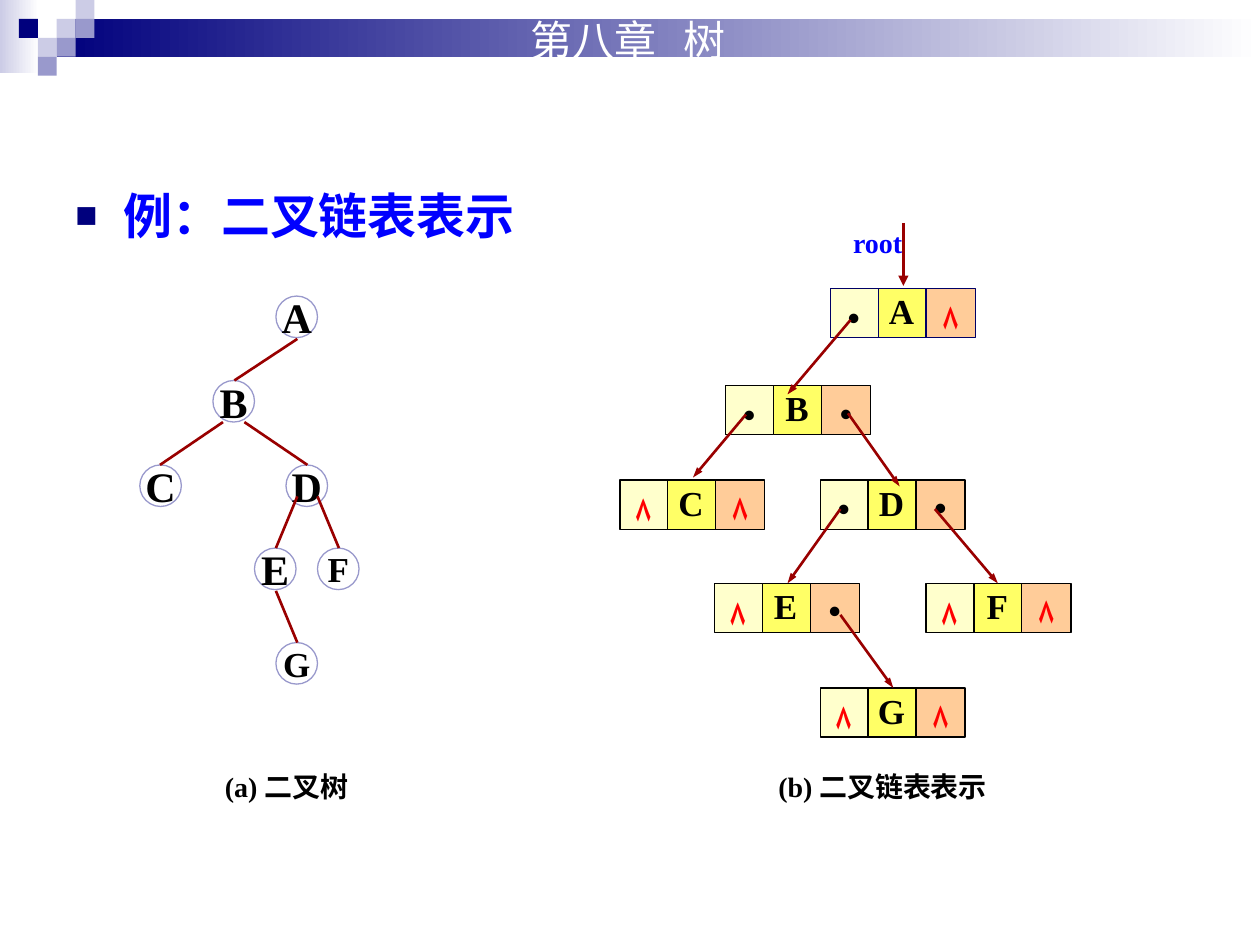
import pptx
import pptx.util
import pptx.oxml.xmlchemy
import pptx.dml.color
import pptx.enum.shapes
import pptx.enum.text

Inches = pptx.util.Inches
RGBColor = pptx.dml.color.RGBColor
OxmlElement = pptx.oxml.xmlchemy.OxmlElement
MSO_SHAPE = pptx.enum.shapes.MSO_SHAPE
PP_ALIGN = pptx.enum.text.PP_ALIGN
MSO_ANCHOR = pptx.enum.text.MSO_ANCHOR

NAVY = RGBColor(0x00, 0x00, 0x7D)
LAVENDER = RGBColor(0xCC, 0xCC, 0xE6)
PERIWINKLE = RGBColor(0x99, 0x99, 0xCC)
WHITE = RGBColor(0xFF, 0xFF, 0xFF)
BLACK = RGBColor(0x00, 0x00, 0x00)
BLUE = RGBColor(0x00, 0x00, 0xFF)
RED = RGBColor(0xFF, 0x00, 0x00)
DARK_RED = RGBColor(0x99, 0x00, 0x00)
ROOT_OUTLINE = RGBColor(0x00, 0x00, 0x66)
LEFT_FILL = RGBColor(0xFF, 0xFF, 0xCC)
DATA_FILL = RGBColor(0xFF, 0xFF, 0x66)
RIGHT_FILL = RGBColor(0xFF, 0xCC, 0x99)

CJK_FONT = "Noto Sans CJK SC"
SERIF = "Times New Roman"
LINK, NULL = "•", "۸"

presentation = pptx.Presentation()
presentation.slide_width, presentation.slide_height = Inches(10), Inches(7.5)
slide = presentation.slides.add_slide(presentation.slide_layouts[6])


def add_box(kind, at, fill=None, outline=None, text="", size=20, color=BLACK,
            font=SERIF, bold=True, align=PP_ALIGN.CENTER, margins=(0.1, 0.05)):
    """Add a shape, or a text box if kind is None; margins are left and top.

    A pair of colours as fill gives a horizontal gradient.
    """
    place = [Inches(length) for length in at]
    if kind is None:
        box = slide.shapes.add_textbox(*place)
    else:
        box = slide.shapes.add_shape(kind, *place)
        box.shadow.inherit = False
        if isinstance(fill, list):
            box.fill.gradient()
            box.fill.gradient_angle = 0
            for stop, stop_color in zip(box.fill.gradient_stops, fill):
                stop.color.rgb = stop_color
        else:
            box.fill.solid()
            box.fill.fore_color.rgb = fill
        if outline is None:
            box.line.fill.background()
        else:
            box.line.color.rgb = outline
            box.line.width = pptx.util.Pt(0.75)
    if text:
        frame = box.text_frame
        frame_format = {
            "word_wrap": kind is None,
            "vertical_anchor": MSO_ANCHOR.TOP if kind is None else MSO_ANCHOR.MIDDLE,
            "margin_left": Inches(margins[0]), "margin_top": Inches(margins[1]),
            "margin_right": Inches(0.1), "margin_bottom": Inches(0.05),
        }
        for name, value in frame_format.items():
            setattr(frame, name, value)
        paragraph = frame.paragraphs[0]
        paragraph.alignment = align
        run = paragraph.add_run()
        run.text = text
        run.font.color.rgb = color
        font_format = {"size": pptx.util.Pt(size), "bold": bold, "name": font}
        for name, value in font_format.items():
            setattr(run.font, name, value)
        east_asian = OxmlElement("a:ea")
        east_asian.set("typeface", CJK_FONT)
        run.font._element.append(east_asian)
    return box


def add_line(start, end, head_width=None):
    line = slide.shapes.add_connector(
        pptx.enum.shapes.MSO_CONNECTOR.STRAIGHT,
        *[Inches(length) for length in (*start, *end)])
    line.line.color.rgb = DARK_RED
    line.line.width = pptx.util.Pt(1.5)
    if head_width:
        head = OxmlElement("a:tailEnd")
        for name, value in {"type": "triangle", "w": head_width, "len": "med"}.items():
            head.set(name, value)
        line.line._get_or_add_ln().append(head)
    line._element.spPr.append(OxmlElement("a:effectLst"))


# Header band with its mosaic of squares
add_box(MSO_SHAPE.RECTANGLE, (0, 0, 0.31, 0.58), [LAVENDER, WHITE])
add_box(MSO_SHAPE.RECTANGLE, (0.45, 0.15, 9.55, 0.3), [NAVY, WHITE])
TILE = 0.15
for column, row, tile_color in [
    (3, 1, LAVENDER), (4, 0, LAVENDER), (4, 1, PERIWINKLE), (2, 2, LAVENDER),
    (1, 1, NAVY), (3, 2, PERIWINKLE), (2, 3, PERIWINKLE),
]:
    add_box(MSO_SHAPE.RECTANGLE, (column * TILE, row * TILE, TILE, TILE), tile_color)

chapter = add_box(None, (4.11, 0.07, 2.42, 0.5), text="第八章\t树", size=24,
                  color=WHITE, font=CJK_FONT, bold=False, align=PP_ALIGN.LEFT)
tab_list = OxmlElement("a:tabLst")
tab = OxmlElement("a:tab")
tab.set("pos", str(Inches(1.22)))
tab.set("algn", "l")
tab_list.append(tab)
chapter.text_frame.paragraphs[0]._p.get_or_add_pPr().append(tab_list)

# Bulleted heading
heading = add_box(None, (0.5, 1.42, 9, 5.33), text="例：二叉链表表示", size=28,
                  color=BLUE, font="Arial", align=PP_ALIGN.LEFT)
heading_properties = heading.text_frame.paragraphs[0]._p.get_or_add_pPr()
heading_properties.set("marL", str(Inches(0.38)))
heading_properties.set("indent", str(-Inches(0.38)))
bullet_color = OxmlElement("a:buClr")
navy = OxmlElement("a:srgbClr")
navy.set("val", str(NAVY))
bullet_color.append(navy)
heading_properties.append(bullet_color)
for tag, name, value in [("a:buSzPct", "val", "75000"), ("a:buFont", "typeface", "Arial"),
                         ("a:buChar", "char", "■")]:
    bullet_part = OxmlElement(tag)
    bullet_part.set(name, value)
    heading_properties.append(bullet_part)

add_box(None, (1.36, 6.06, 1.83, 0.37), text="(a) 二叉树", size=16)
add_box(None, (5.92, 6.06, 2.17, 0.37), text="(b) 二叉链表表示", size=16)

# Binary tree
for label, x, y, size in [
    ("A", 2.19, 2.35, 24), ("B", 1.69, 3.02, 24), ("C", 1.11, 3.69, 24),
    ("D", 2.27, 3.69, 24), ("E", 2.02, 4.35, 24), ("F", 2.52, 4.35, 20),
    ("G", 2.19, 5.1, 20),
]:
    add_box(MSO_SHAPE.OVAL, (x, y, 0.33, 0.33), WHITE, PERIWINKLE, label, size)
for parent, child in [
    ((2.36, 2.69), (1.86, 3.02)), ((1.77, 3.35), (1.27, 3.69)),
    ((1.94, 3.35), (2.44, 3.69)), ((2.36, 3.94), (2.19, 4.35)),
    ((2.52, 3.94), (2.69, 4.35)), ((2.19, 4.69), (2.36, 5.1)),
]:
    add_line(parent, child)

# Linked nodes: data cell, right pointer, left pointer
for label, x, y, left, right in [
    ("A", 6.59, 2.29, LINK, NULL), ("B", 5.76, 3.06, LINK, LINK),
    ("C", 4.92, 3.81, NULL, NULL), ("D", 6.51, 3.81, LINK, LINK),
    ("E", 5.67, 4.63, NULL, LINK), ("F", 7.35, 4.63, NULL, NULL),
    ("G", 6.51, 5.46, NULL, NULL),
]:
    outline = ROOT_OUTLINE if label == "A" else BLACK
    for text, offset, width, fill, margins in [
        (label, 0.37, 0.39, DATA_FILL, (0.1, 0.01)),
        (right, 0.76, 0.39, RIGHT_FILL, (0.1, 0.08)),
        (left, 0, 0.38, LEFT_FILL, (0.09, 0.1)),
    ]:
        add_box(MSO_SHAPE.RECTANGLE, (x + offset, y, width, 0.39), fill, outline, text,
                color=RED if text == NULL else BLACK, margins=margins)
for pointer, target in [
    ((6.75, 2.54), (6.25, 3.13)), ((5.92, 3.29), (5.5, 3.79)),
    ((6.73, 3.28), (7.14, 3.86)), ((6.67, 4.88), (7.09, 5.46)),
    ((7.42, 4.04), (7.92, 4.63)), ((6.67, 4.04), (6.25, 4.63)),
]:
    add_line(pointer, target, head_width="sm")

add_box(None, (6.59, 1.74, 0.75, 0.37), text="root", size=16, color=BLUE)
add_line((7.17, 1.77), (7.17, 2.27), head_width="med")

presentation.save("out.pptx")
